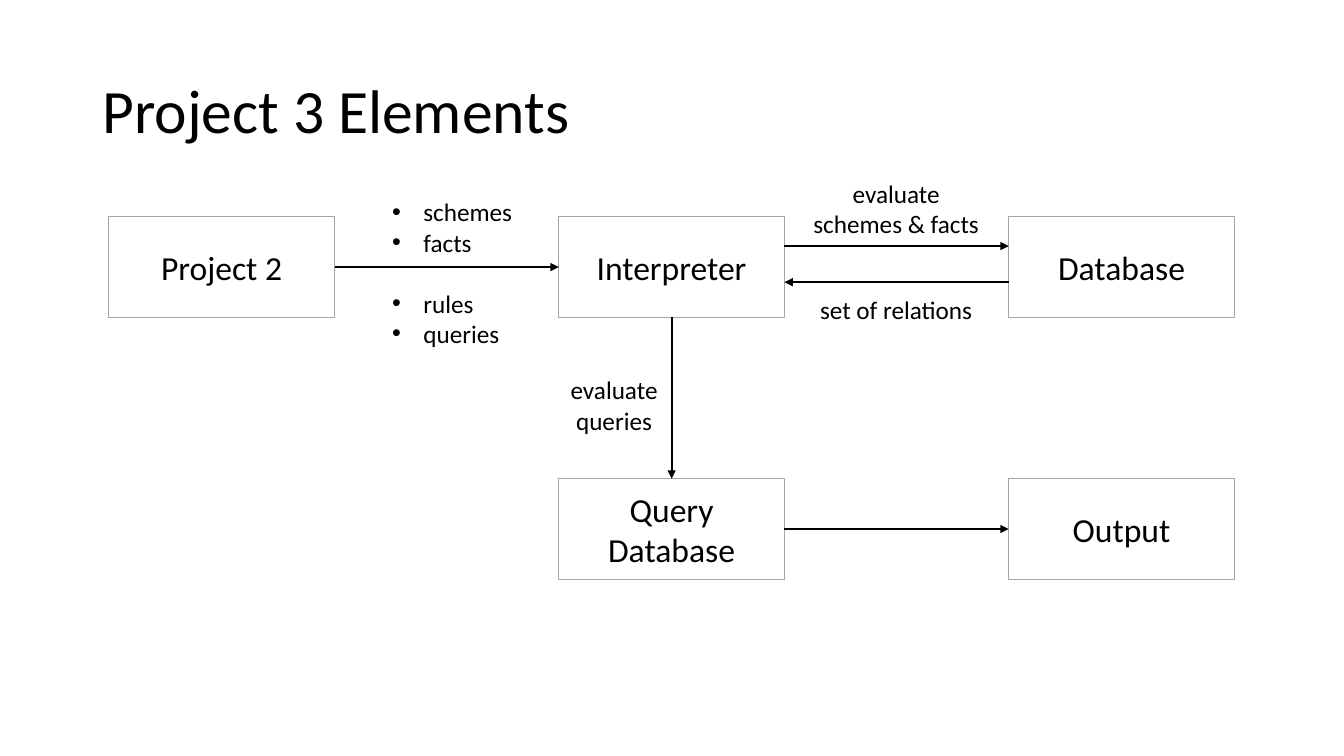
import pptx
import pptx.util
import pptx.dml.color
import pptx.enum.shapes
import pptx.enum.text
import pptx.oxml
import pptx.oxml.ns
from lxml import etree

Cm = pptx.util.Cm
Pt = pptx.util.Pt
ALIGN = pptx.enum.text.PP_ALIGN
ANCHOR = pptx.enum.text.MSO_ANCHOR
COLORS = {"text": "000000", "box": "FFFFFF", "border": "A5A5A5", "arrow": "000000"}
FONT = "Calibri"
BOX_W, BOX_H = 5.69, 2.54
TOP, LEFT, BOTTOM, RIGHT = range(4)


def rgb(name):
    return pptx.dml.color.RGBColor.from_string(COLORS[name])


def add_bullet(p, indent):
    pPr = p._p.get_or_add_pPr()
    pPr.set("marL", str(Cm(indent)))
    pPr.set("indent", str(-Cm(indent)))
    font = etree.SubElement(pPr, pptx.oxml.ns.qn("a:buFont"))
    font.set("typeface", "Arial")
    etree.SubElement(pPr, pptx.oxml.ns.qn("a:buChar")).set("char", "•")


def write(tf, *lines, size=18, align=ALIGN.CENTER, anchor=ANCHOR.TOP,
          bullet=False, spacing=None, gaps=None):
    tf.word_wrap = True
    tf.vertical_anchor = anchor
    for i, line in enumerate(lines):
        p = tf.paragraphs[0] if i == 0 else tf.add_paragraph()
        p.alignment = align
        p.line_spacing = spacing
        p.space_before = Pt((gaps or {}).get(i, 0))
        if bullet:
            add_bullet(p, 0.79)
        r = p.add_run()
        r.text = line
        r.font.name = FONT
        r.font.size = Pt(size)
        r.font.color.rgb = rgb("text")


def add_label(s, x, y, w, h, *lines, **fmt):
    tb = s.shapes.add_textbox(Cm(x), Cm(y), Cm(w), Cm(h))
    write(tb.text_frame, *lines, **fmt)


def add_node(s, x, y, text):
    sp = s.shapes.add_shape(pptx.enum.shapes.MSO_SHAPE.RECTANGLE,
                            Cm(x), Cm(y), Cm(BOX_W), Cm(BOX_H))
    sp.shadow.inherit = False
    sp.fill.solid()
    sp.fill.fore_color.rgb = rgb("box")
    sp.line.color.rgb = rgb("border")
    sp.line.width = Pt(1)
    write(sp.text_frame, text, size=24, anchor=ANCHOR.MIDDLE)
    return sp


def add_arrow(s, x1=0, y1=0, x2=0, y2=0):
    c = s.shapes.add_connector(pptx.enum.shapes.MSO_CONNECTOR.STRAIGHT,
                               Cm(x1), Cm(y1), Cm(x2), Cm(y2))
    c.line.color.rgb = rgb("arrow")
    c.line.width = Pt(1.5)
    tail = etree.SubElement(c.line._get_or_add_ln(), pptx.oxml.ns.qn("a:tailEnd"))
    tail.set("type", "triangle")
    etree.SubElement(c._element.spPr, pptx.oxml.ns.qn("a:effectLst"))
    return c


def add_title(s, x, y, w, h):
    sp = s.shapes.title
    sp.left, sp.top, sp.width, sp.height = Cm(x), Cm(y), Cm(w), Cm(h)
    write(sp.text_frame, "Project 3 Elements", size=44, align=ALIGN.LEFT,
          anchor=ANCHOR.MIDDLE, spacing=0.9)


def add_diagram(s, x, y, w, h):
    step = (w - BOX_W) / 2
    gap = step - BOX_W
    row2 = y + h - BOX_H
    nodes = {
        text: add_node(s, x + col * step, top, text)
        for text, col, top in [
            ("Project 2", 0, y), ("Interpreter", 1, y), ("Database", 2, y),
            ("Query Database", 1, row2), ("Output", 2, row2)]
    }
    for start, out, end, into in [
            ("Project 2", RIGHT, "Interpreter", LEFT),
            ("Interpreter", BOTTOM, "Query Database", TOP),
            ("Query Database", RIGHT, "Output", LEFT)]:
        c = add_arrow(s)
        c.begin_connect(nodes[start], out)
        c.end_connect(nodes[end], into)

    near, far = x + step + BOX_W, x + 2 * step
    add_arrow(s, near, y + 0.74, far, y + 0.74)
    add_arrow(s, far, y + 1.65, near, y + 1.65)

    add_label(s, x + 6.89, y - 0.63, 3.6, 4.11, "schemes", "facts", "rules", "queries",
              align=ALIGN.LEFT, bullet=True, gaps={2: 22})
    label_x, label_w = near + 0.36, gap - 0.74
    add_label(s, label_x, y - 1.09, label_w, 1.8, "evaluate schemes & facts")
    add_label(s, label_x, y + 1.83, label_w, 1.02, "set of relations")
    add_label(s, x + step - 0.88, y + 3.86, 4.55, 1.8, "evaluate queries")


def main():
    prs = pptx.Presentation()
    prs.slide_width, prs.slide_height = Cm(33.87), Cm(19.05)
    s = prs.slides.add_slide(prs.slide_layouts[5])
    add_title(s, 2.33, 1.01, 29.21, 3.68)
    add_diagram(s, 2.74, 5.46, 28.37, 9.14)
    prs.save("out.pptx")


if __name__ == "__main__":
    main()
